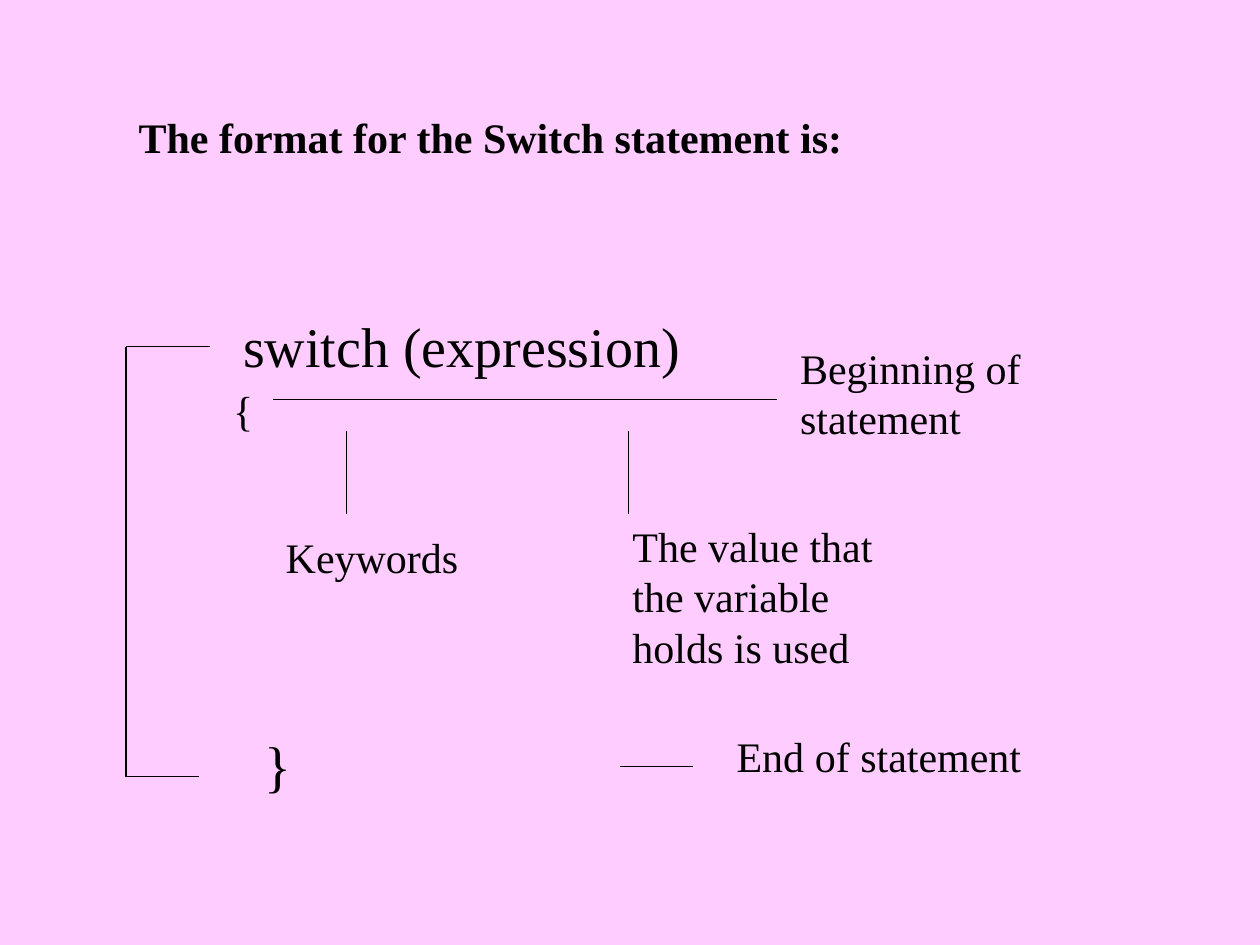
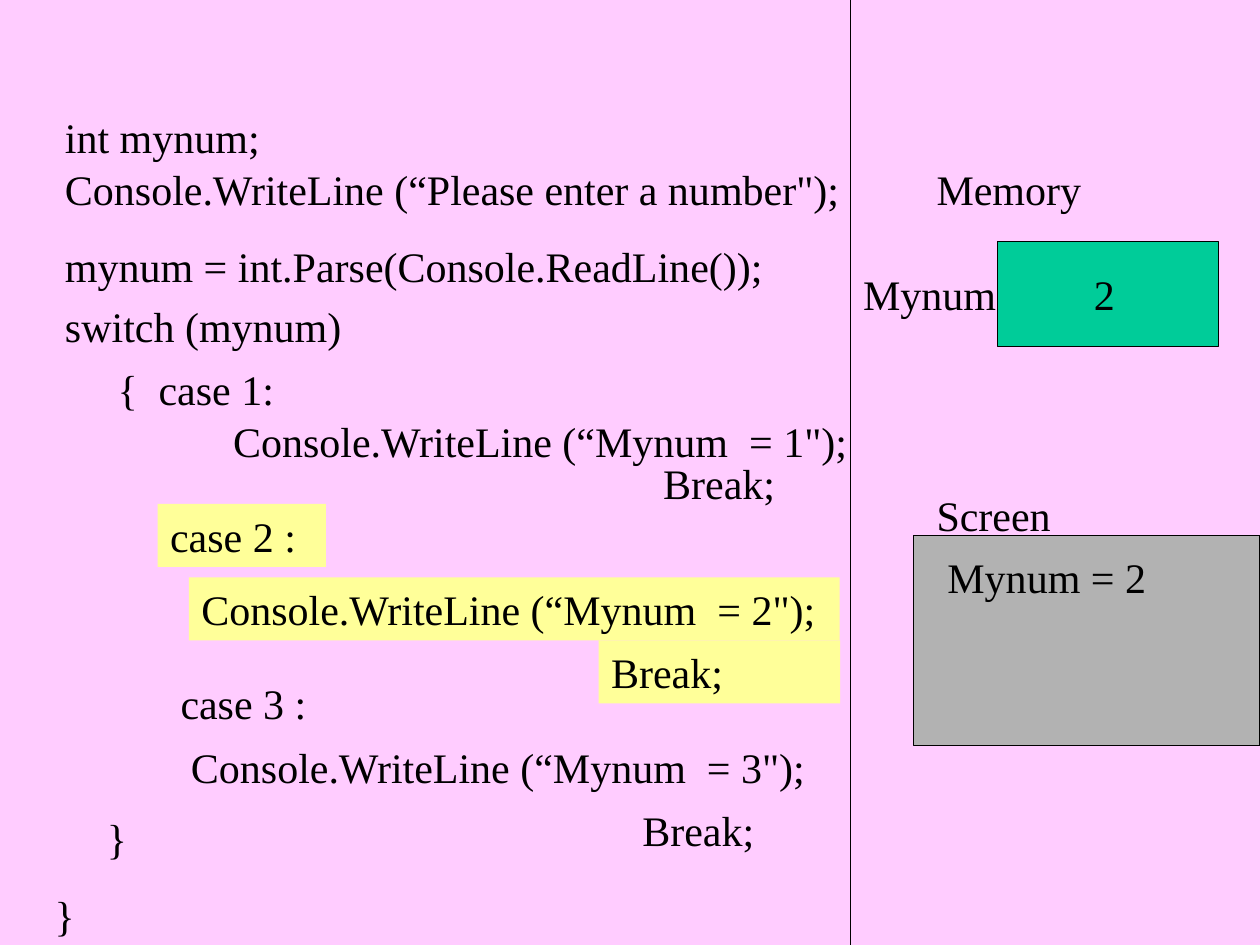
from dataclasses import dataclass

from lxml import etree
from pptx import Presentation
from pptx.dml.color import RGBColor
from pptx.enum import shapes, text
from pptx.oxml import ns
from pptx.util import Cm, Pt


@dataclass(frozen=True)
class Theme:
    back: str = "FFCCFF"
    ink: str = "000000"
    mark: str = "FFFF99"
    store: str = "00CC99"
    screen: str = "B2B2B2"
    font: str = "Times New Roman"
    size: int = 24
    large: int = 32
    rule: float = 0.75
    gap: int = 15
    row: float = 1.27


look = Theme()


def paint(fill, tint):
    fill.solid()
    fill.fore_color.rgb = RGBColor.from_string(tint)


def ink(line):
    paint(line.fill, look.ink)
    line.width = Pt(look.rule)


def write(frame, words, size=look.size, bold=False):
    frame.word_wrap = True
    frame.auto_size = text.MSO_AUTO_SIZE.SHAPE_TO_FIT_TEXT
    frame.vertical_anchor = text.MSO_ANCHOR.TOP
    for spot, part in enumerate(words.split("\n")):
        para = frame.add_paragraph() if spot else frame.paragraphs[0]
        para.alignment = text.PP_ALIGN.LEFT
        para.space_before = Pt(look.gap if spot else 0)
        run = para.add_run()
        run.text = part
        run.font.name = look.font
        run.font.size = Pt(size)
        run.font.bold = bold
        run.font.color.rgb = RGBColor.from_string(look.ink)


def head(slide, words, left, top, width):
    title = slide.shapes.title
    title.left, title.top = Cm(left), Cm(top)
    title.width, title.height = Cm(width), Cm(look.row)
    write(title.text_frame, words, bold=True)


def label(slide, words, left, top, width, high=look.row, size=look.size, tint=None):
    box = slide.shapes.add_textbox(Cm(left), Cm(top), Cm(width), Cm(high))
    if tint:
        paint(box.fill, tint)
    write(box.text_frame, words, size)


def block(slide, tint, left, top, width, high):
    box = slide.shapes.add_shape(
        shapes.MSO_SHAPE.RECTANGLE, Cm(left), Cm(top), Cm(width), Cm(high))
    box.shadow.inherit = False
    paint(box.fill, tint)
    ink(box.line)


def rule(slide, *ends):
    line = slide.shapes.add_connector(
        shapes.MSO_CONNECTOR.STRAIGHT, *(Cm(end) for end in ends))
    ink(line.line)
    etree.SubElement(line._element.spPr, ns.qn("a:effectLst"))


def format_slide(deck):
    slide = deck.slides.add_slide(deck.slide_layouts.get_by_name("Title Only"))
    head(slide, "The format for the Switch statement is:", 2.54, 2.12, 18.62)
    label(slide, "switch (expression)", 4.65, 6.15, 15.44, 1.63, look.large)
    for left in (6.99, 12.67):
        rule(slide, left, 8.68, left, 10.37)
    label(slide, "Keywords", 5.51, 10.58, 4.02)
    label(slide, "The value that the variable holds is used", 12.5, 10.37, 5.72, 3.3)
    label(slide, "}", 5.08, 14.6, 1.27, 1.63, look.large)
    side, top, base = 2.54, 6.99, 15.66
    rule(slide, 4.23, top, side, top)
    rule(slide, side, top, side, base)
    rule(slide, side, base, 4.02, base)
    rule(slide, 12.5, 15.45, 13.97, 15.45)
    label(slide, "End of statement", 14.6, 14.6, 7.62)
    label(slide, "{", 4.45, 7.62, 1.7)
    label(slide, "Beginning of statement", 15.88, 6.77, 5.72, 2.29)
    rule(slide, 15.66, 8.05, 5.51, 8.05)


def trace_slide(deck):
    slide = deck.slides.add_slide(deck.slide_layouts.get_by_name("Blank"))
    block(slide, look.store, 20.11, 4.87, 4.45, 2.12)
    block(slide, look.screen, 18.42, 10.8, 6.98, 4.23)
    rule(slide, 17.15, 0, 17.15, 19.05)

    state = (
        ("Memory", 18.63, 3.18, 5.08),
        ("Mynum", 17.15, 5.29, 3.6),
        ("2", 21.8, 5.29, 1.27),
        ("Screen", 18.63, 9.74, 6.77),
        ("Mynum = 2", 18.85, 11, 6.55),
    )
    code = (
        ("int mynum;", 1.06, 2.12, 4.45),
        ("Console.WriteLine (“Please enter a number\");\n"
         "mynum = int.Parse(Console.ReadLine());", 1.06, 3.18, 16.51, 2.82),
        ("switch (mynum)", 1.06, 5.93, 6.56),
        ("{  case 1:", 2.12, 7.2, 5.08),
        ("Console.WriteLine (“Mynum  = 1\");", 4.45, 8.26, 13.97),
        ("Break;", 13.12, 9.1, 4.87),
        ("case 3 :", 3.39, 13.54, 3.6),
        ("Console.WriteLine (“Mynum  = 3\");", 3.6, 14.82, 13.34),
        ("Break;", 12.7, 16.09, 3.18),
        ("     }\n}", 0.85, 16.26, 3.39, 2.82),
    )
    active = (
        ("case 2 :", 3.18, 10.16, 3.39),
        ("Console.WriteLine (“Mynum  = 2\");", 3.81, 11.64, 13.12),
        ("Break;", 12.07, 12.91, 4.87),
    )
    for item in state + code:
        label(slide, *item)
    for item in active:
        label(slide, *item, tint=look.mark)


def main():
    deck = Presentation()
    deck.slide_width, deck.slide_height = Cm(25.4), Cm(19.05)
    paint(deck.slide_master.background.fill, look.back)
    format_slide(deck)
    trace_slide(deck)
    deck.save("out.pptx")


if __name__ == "__main__":
    main()
